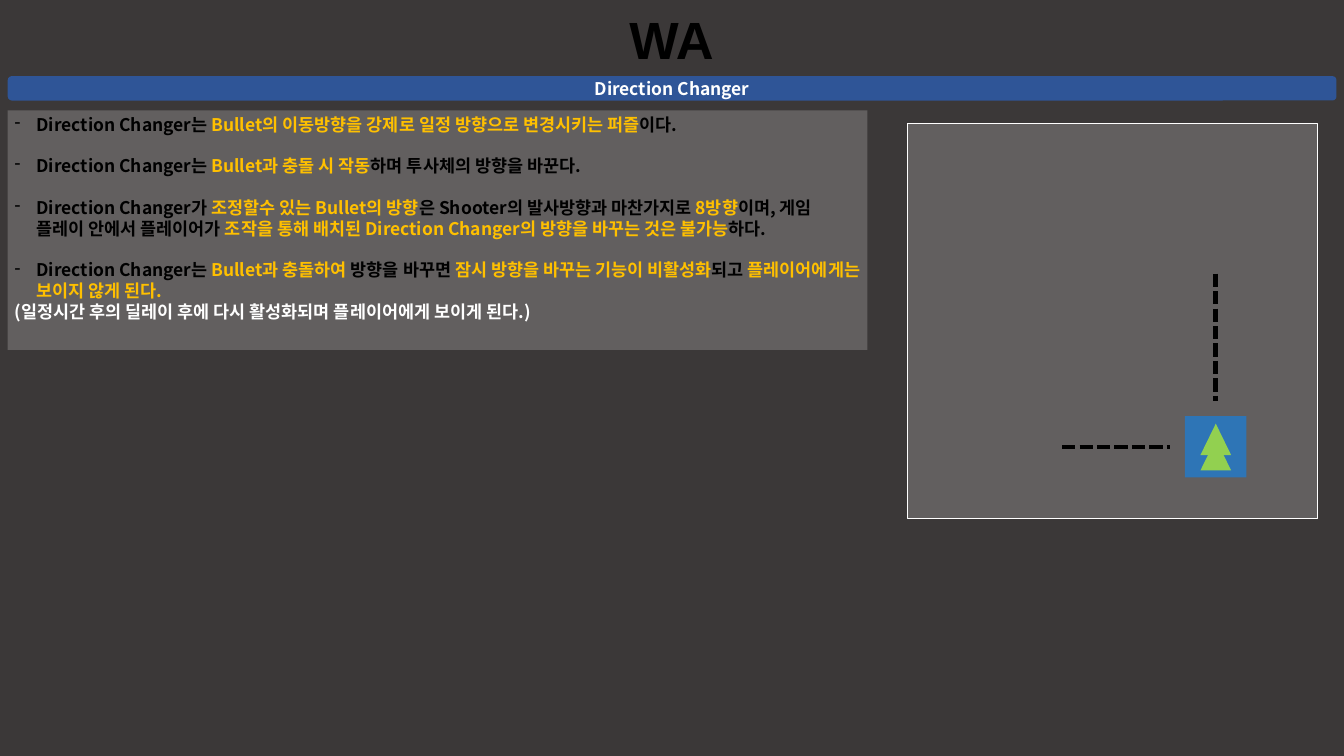
import pptx
import pptx.dml.color
import pptx.enum.dml
import pptx.enum.shapes
import pptx.enum.text
import pptx.oxml.ns
import pptx.util
from lxml import etree

Pt = pptx.util.Pt
RGBColor = pptx.dml.color.RGBColor
SHAPE = pptx.enum.shapes.MSO_SHAPE
ANCHOR = pptx.enum.text.MSO_ANCHOR
CENTER = pptx.enum.text.PP_ALIGN.CENTER
qn = pptx.oxml.ns.qn

BLACK = RGBColor(0x00, 0x00, 0x00)
WHITE = RGBColor(0xFF, 0xFF, 0xFF)
GOLD = RGBColor(0xFF, 0xC0, 0x00)
BACKDROP = RGBColor(0x3B, 0x38, 0x38)
BAR_BLUE = RGBColor(0x2F, 0x55, 0x97)
TILE_BLUE = RGBColor(0x2E, 0x75, 0xB6)
GREEN = RGBColor(0x92, 0xD0, 0x50)

KOREAN_FONT = "Noto Sans CJK KR"
LINE_PITCH = 21.5
INDENT = 22.5

# Each rule is a list of (text, colour) spans
RULES = [
    [("Direction Changer는 ", BLACK),
     ("Bullet의 이동방향을 강제로 일정 방향으로 변경시키는 퍼즐", GOLD),
     ("이다.", BLACK)],
    [("Direction Changer는 ", BLACK),
     ("Bullet과 충돌 시 작동", GOLD),
     ("하며 투사체의 방향을 바꾼다.", BLACK)],
    [("Direction Changer가 ", BLACK),
     ("조정할수 있는 Bullet의 방향", GOLD),
     ("은 Shooter의 발사방향과 마찬가지로 ", BLACK),
     ("8방향", GOLD),
     ("이며, 게임 플레이 안에서 플레이어가 ", BLACK),
     ("조작을 통해 배치된 Direction Changer의 방향을 바꾸는 것은 불가능", GOLD),
     ("하다.", BLACK)],
    [("Direction Changer는 ", BLACK),
     ("Bullet과 충돌하여 ", GOLD),
     ("방향을 바꾸면 ", BLACK),
     ("잠시 방향을 바꾸는 기능이 비활성화", GOLD),
     ("되고 ", BLACK),
     ("플레이어에게는 보이지 않게 된다.", GOLD)],
]
NOTE = [("(일정시간 후의 딜레이 후에 다시 활성화되며 플레이어에게 보이게 된다.)", WHITE)]


def place(shape, left, top, width, height):
    shape.left, shape.top = Pt(left), Pt(top)
    shape.width, shape.height = Pt(width), Pt(height)


def set_font(para, name, size, colour):
    font = para.font
    font.name, font.size, font.bold = name, Pt(size), True
    font.color.rgb = colour
    latin = para._p.pPr.find(qn("a:defRPr")).find(qn("a:latin"))
    latin.addnext(latin.makeelement(qn("a:ea"), {"typeface": name}))


def set_fill(shape, colour, opacity=100):
    shape.fill.solid()
    shape.fill.fore_color.rgb = colour
    if opacity < 100:
        tint = shape._element.spPr.find(".//" + qn("a:srgbClr"))
        etree.SubElement(tint, qn("a:alpha"), val=str(opacity * 1000))


def add_block(shapes, kind, box, colour, opacity=100):
    block = shapes.add_shape(kind, *map(Pt, box))
    block.shadow.inherit = False
    set_fill(block, colour, opacity)
    block.line.fill.background()
    return block


def add_dashes(shapes, start, end):
    line = shapes.add_connector(pptx.enum.shapes.MSO_CONNECTOR.STRAIGHT,
                                *map(Pt, start + end))
    line.line.color.rgb = BLACK
    line.line.width = Pt(4.5)
    line.line.dash_style = pptx.enum.dml.MSO_LINE.SQUARE_DOT
    etree.SubElement(line._element.spPr, qn("a:effectLst"))


def write_line(para, spans, bullet, gap):
    props = para._p.get_or_add_pPr()
    indent = Pt(INDENT) if bullet else 0
    props.set("marL", str(indent))
    props.set("indent", str(-indent))
    if bullet:
        etree.SubElement(props, qn("a:buFontTx"))
        etree.SubElement(props, qn("a:buChar"), char="-")
    else:
        etree.SubElement(props, qn("a:buNone"))
    para.line_spacing = Pt(LINE_PITCH)
    para.space_before = Pt(gap)
    set_font(para, KOREAN_FONT, 18, spans[0][1])
    for text, colour in spans:
        span = para.add_run()
        span.text = text
        span.font.color.rgb = colour


def fill_title(title):
    place(title, 640, 2.9, 106, 72.7)
    frame = title.text_frame
    frame.text = "WA"
    frame.word_wrap = False
    frame.auto_size = pptx.enum.text.MSO_AUTO_SIZE.NONE
    frame.vertical_anchor = ANCHOR.BOTTOM
    frame.paragraphs[0].alignment = CENTER
    set_font(frame.paragraphs[0], "Arial", 54, BLACK)


def fill_rules(body):
    place(body, 8, 113.8, 887, 247)
    set_fill(body, WHITE, 20)
    frame = body.text_frame
    frame.word_wrap = True
    frame.auto_size = pptx.enum.text.MSO_AUTO_SIZE.NONE
    frame.vertical_anchor = ANCHOR.TOP
    for number, rule in enumerate(RULES):
        para = frame.add_paragraph() if number else frame.paragraphs[0]
        write_line(para, rule, True, LINE_PITCH if number else 0)
    write_line(frame.add_paragraph(), NOTE, False, 0)


def add_heading_bar(page):
    bar = add_block(page.shapes, SHAPE.ROUNDED_RECTANGLE, (8, 78.5, 1371, 25.2), BAR_BLUE)
    frame = bar.text_frame
    frame.text = "Direction Changer"
    frame.vertical_anchor = ANCHOR.MIDDLE
    frame.paragraphs[0].alignment = CENTER
    set_font(frame.paragraphs[0], KOREAN_FONT, 18, WHITE)


def add_diagram(page):
    shapes = page.shapes.add_group_shape().shapes
    panel = add_block(shapes, SHAPE.RECTANGLE, (936, 127.4, 423.4, 407.5), WHITE, 20)
    panel.line.color.rgb = WHITE
    panel.line.width = Pt(1)
    # Changer tile with its double arrow
    add_block(shapes, SHAPE.RECTANGLE, (1222.6, 429.1, 63.4, 63.4), TILE_BLUE)
    for top in (452.9, 437):
        add_block(shapes, SHAPE.ISOSCELES_TRIANGLE, (1238.6, top, 31.7, 32.4), GREEN)
    # Bullet route in and out
    add_dashes(shapes, (1095.8, 460.8), (1206.7, 460.8))
    add_dashes(shapes, (1254.2, 282.2), (1254.2, 413.3))


def main():
    deck = pptx.Presentation()
    deck.slide_width, deck.slide_height = Pt(1386.7), Pt(779.8)
    page = deck.slides.add_slide(deck.slide_layouts[1])
    page.background.fill.solid()
    page.background.fill.fore_color.rgb = BACKDROP
    fill_title(page.shapes.title)
    fill_rules(page.placeholders[1])
    add_heading_bar(page)
    add_diagram(page)
    deck.save("out.pptx")


if __name__ == "__main__":
    main()
